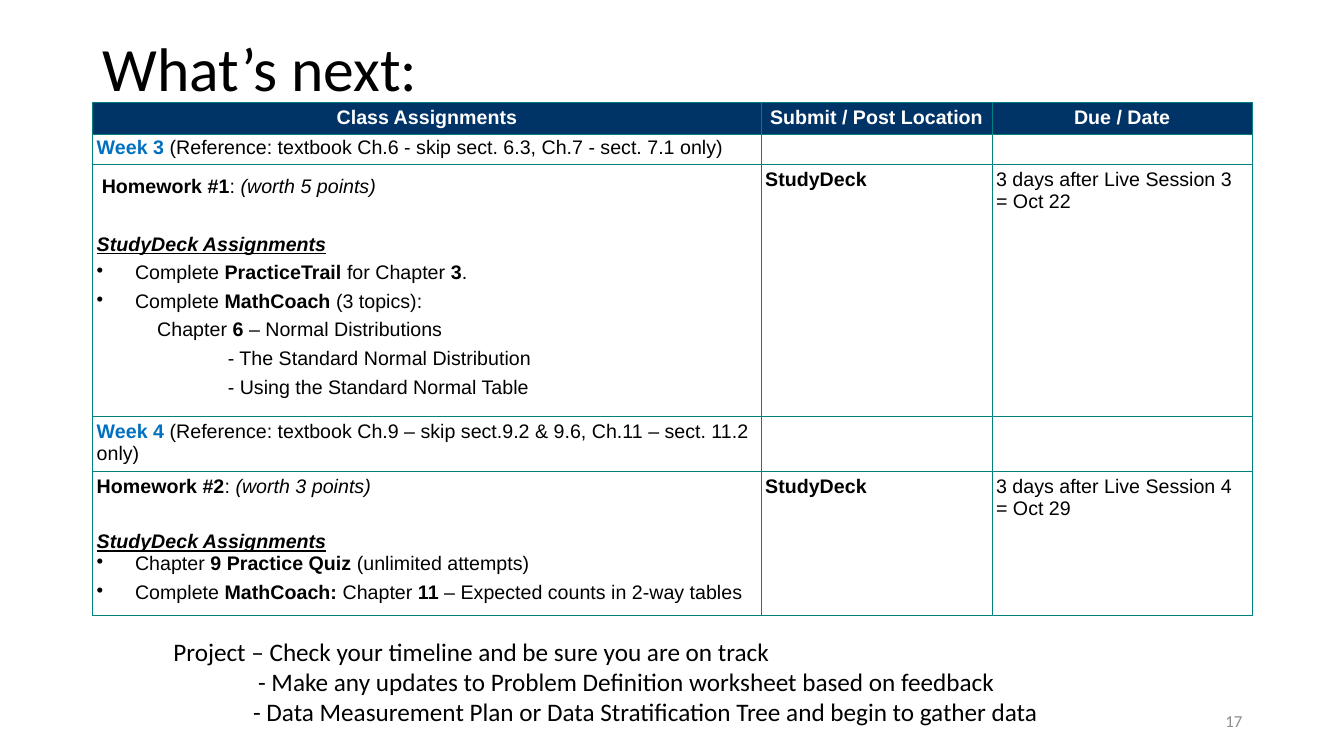
from dataclasses import dataclass
from lxml import etree
from pptx import Presentation
from pptx import util as u
from pptx.dml.color import RGBColor
from pptx.enum import text
from pptx.oxml.ns import qn


@dataclass(frozen=True)
class Theme:
    head_font: str = "Calibri"
    table_font: str = "Arial"
    title: int = 44
    body: int = 18
    cell: int = 14
    number: int = 12
    ink: str = "000000"
    white: str = "FFFFFF"
    week: str = "0070C0"
    header: str = "003366"
    border: str = "008080"
    grey: str = "8C8C8C"


@dataclass
class Para:
    runs: list
    indent: float = 0
    bullet: bool = False
    line: float = 1
    before: float = 0
    after: float = 0
    align: text.PP_ALIGN = text.PP_ALIGN.LEFT


T = Theme()
WIDTH, HEIGHT = u.Inches(13.33), u.Inches(7.5)
LEFT, COLS = 6.9, (49.74, 17.18, 19.35)
HANG = 0.38


def across(share):
    return int(WIDTH * share / 100)


def down(share):
    return int(HEIGHT * share / 100)


def place(sp, left, top, width, height):
    sp.left, sp.top = across(left), down(top)
    sp.width, sp.height = across(width), down(height)


def style(r, font, size, color, marks=""):
    r.font.name, r.font.size = font, u.Pt(size)
    r.font.color.rgb = RGBColor.from_string(color)
    r.font.bold, r.font.italic, r.font.underline = (m in marks for m in "biu")


def format_para(p, para):
    p.alignment, p.line_spacing = para.align, para.line
    p.space_before, p.space_after = u.Pt(para.before), u.Pt(para.after)
    pPr = p._p.get_or_add_pPr()
    pPr.set("marL", str(u.Inches(HANG if para.bullet else para.indent)))
    pPr.set("indent", str(u.Inches(-HANG if para.bullet else 0)))
    if para.bullet:
        etree.SubElement(pPr, qn("a:buChar")).set("char", "•")
    else:
        etree.SubElement(pPr, qn("a:buNone"))


def write(tf, paras, font, size, color):
    for i, para in enumerate(paras):
        p = tf.add_paragraph() if i else tf.paragraphs[0]
        format_para(p, para)
        for words, marks in para.runs:
            r = p.add_run()
            r.text = words
            style(r, font, size, T.week if "w" in marks else color, marks)


def add_borders(cell):
    tcPr = cell._tc.get_or_add_tcPr()
    for side in ("lnL", "lnR", "lnT", "lnB"):
        ln = etree.SubElement(tcPr, qn(f"a:{side}"), w=str(u.Pt(1)))
        fill = etree.SubElement(ln, qn("a:solidFill"))
        etree.SubElement(fill, qn("a:srgbClr"), val=T.border)


def fill_cell(cell, paras, color, fill):
    cell.margin_left = cell.margin_right = u.Inches(0.04)
    cell.margin_top = cell.margin_bottom = u.Inches(0.04)
    add_borders(cell)
    cell.fill.solid()
    cell.fill.fore_color.rgb = RGBColor.from_string(fill)
    tf = cell.text_frame
    write(tf, paras, T.table_font, T.cell, color)
    if not paras:
        etree.SubElement(tf.paragraphs[0]._p, qn("a:endParaRPr"), sz=str(T.cell * 100))


def add_grid(s, top, heights, rows, color, fill):
    frame = s.shapes.add_table(len(rows), len(COLS), across(LEFT), down(top),
                               across(sum(COLS)), down(sum(heights)))
    table = frame.table
    table.first_row = table.horz_banding = False
    for column, share in zip(table.columns, COLS):
        column.width = across(share)
    for i, (height, row) in enumerate(zip(heights, rows)):
        table.rows[i].height = down(height)
        for j, paras in enumerate(row):
            fill_cell(table.cell(i, j), paras, color, fill)


def week_row(name, reference):
    return [[Para([(name + " ", "bw"), (reference, "")])], [], []]


def homework_row(number, points, due, line, indent, subhead, tasks):
    heading = Para([(f"Homework #{number}", "b"), (": ", ""),
                    (f"(worth {points} points)", "i")], indent=indent, line=line)
    subhead.runs = [("StudyDeck Assignments", "biu")]
    return [[heading, subhead, *tasks],
            [Para([("StudyDeck", "b")])], [Para([(due, "")])]]


def add_title(s, words):
    sp = s.shapes.title
    place(sp, LEFT, 3.07, sum(COLS), 12.8)
    tf = sp.text_frame
    tf.auto_size, tf.vertical_anchor = text.MSO_AUTO_SIZE.NONE, text.MSO_ANCHOR.MIDDLE
    write(tf, [Para([(words, "")], line=0.9)], T.head_font, T.title, T.ink)


def add_project(s):
    sp = s.placeholders[1]
    place(sp, 12.15, 83.47, 66.69, 13.47)
    tf = sp.text_frame
    tf.auto_size, tf.vertical_anchor = text.MSO_AUTO_SIZE.NONE, text.MSO_ANCHOR.TOP
    steps = [
        (0, "Project – Check your timeline and be sure you are on track"),
        (0.84, "- Make any updates to Problem Definition worksheet based on feedback"),
        (0.79, "- Data Measurement Plan or Data Stratification Tree and begin to gather data"),
    ]
    write(tf, [Para([(words, "")], indent=indent) for indent, words in steps],
          T.head_font, T.body, T.ink)


def add_number(s, number):
    sp = s.shapes.add_textbox(0, 0, 0, 0)
    place(sp, 70.67, 92.67, 22.5, 5.33)
    tf = sp.text_frame
    tf.word_wrap, tf.vertical_anchor = True, text.MSO_ANCHOR.MIDDLE
    write(tf, [Para([(number, "")], align=text.PP_ALIGN.RIGHT)],
          T.head_font, T.number, T.grey)


def main():
    prs = Presentation()
    prs.slide_width, prs.slide_height = WIDTH, HEIGHT
    s = prs.slides.add_slide(prs.slide_layouts[1])
    add_title(s, "What’s next:")
    add_project(s)
    add_number(s, "17")

    first_tasks = [
        Para([("Complete ", ""), ("PracticeTrail", "b"), (" for Chapter ", ""),
              ("3", "b"), (".", "")], bullet=True, line=1.3),
        Para([("Complete ", ""), ("MathCoach ", "b"), ("(3 topics):", "")],
             bullet=True, line=1.3),
        Para([("Chapter ", ""), ("6", "b"), (" – Normal Distributions", "")],
             indent=0.6, line=1.3),
        Para([("- The Standard Normal Distribution", "")], indent=1.3, line=1.3),
        Para([("- Using the Standard Normal Table", "")], indent=1.3, line=1.3),
    ]
    second_tasks = [
        Para([("Chapter ", ""), ("9 Practice Quiz", "b"), (" (unlimited attempts)", "")],
             bullet=True, after=5),
        Para([("Complete ", ""), ("MathCoach:", "b"), (" Chapter ", ""), ("11", "b"),
              (" – Expected counts in 2-way tables", "")], bullet=True, after=5),
    ]
    rows = [
        week_row("Week 3", "(Reference: textbook Ch.6 - skip sect. 6.3, Ch.7 - sect. 7.1 only)"),
        homework_row(1, 5, "3 days after Live Session 3 = Oct 22", 1.3, 0.05,
                     Para([], line=1.3, before=21), first_tasks),
        week_row("Week 4", "(Reference: textbook Ch.9 – skip sect.9.2 & 9.6, "
                           "Ch.11 – sect. 11.2 only)"),
        homework_row(2, 3, "3 days after Live Session 4 = Oct 29", 1, 0,
                     Para([], line=1.5, before=16), second_tasks),
    ]
    add_grid(s, 17.6, (4, 33.3, 7.1, 19), rows, T.ink, T.white)

    heads = ("Class Assignments", "Submit / Post Location", "Due / Date")
    header = [[Para([(words, "b")], align=text.PP_ALIGN.CENTER)] for words in heads]
    add_grid(s, 13.6, (4,), [header], T.white, T.header)
    prs.save("out.pptx")


if __name__ == "__main__":
    main()
